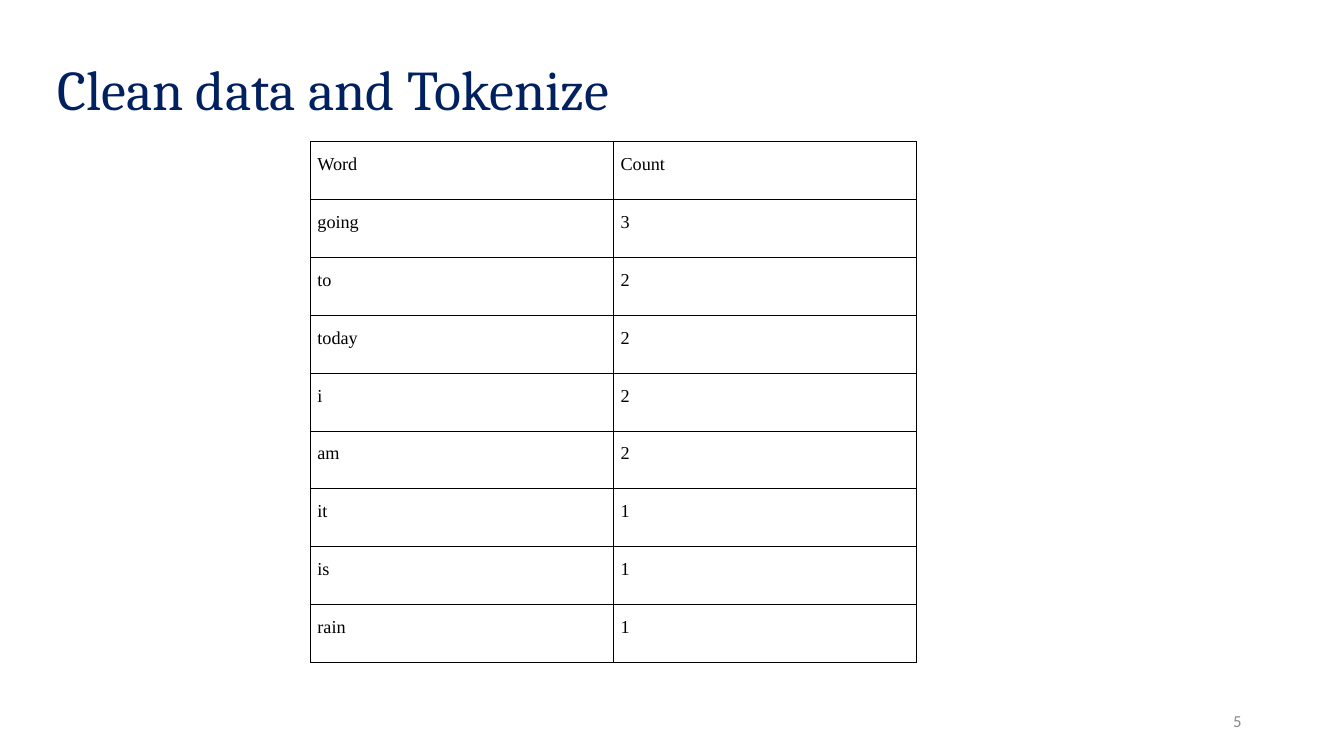
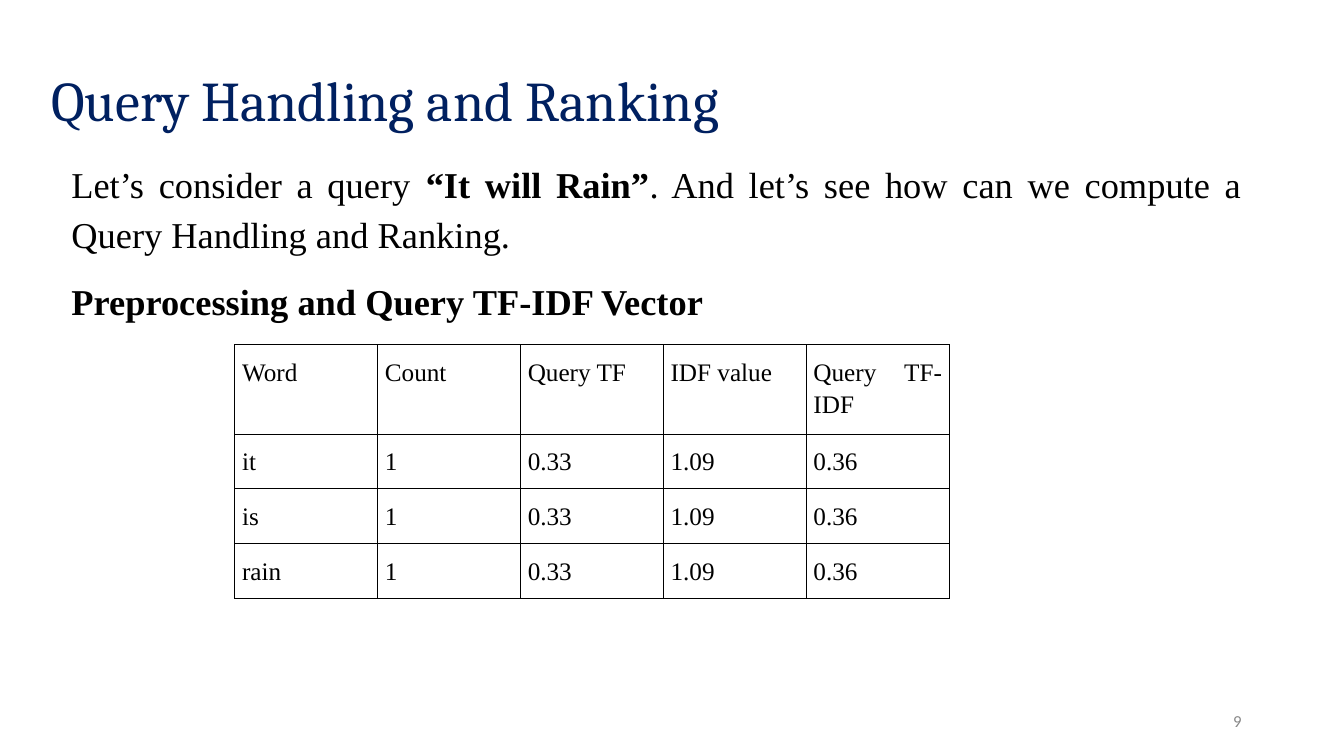
from lxml import etree
from pptx import Presentation
from pptx.dml.color import RGBColor
from pptx.enum import text
from pptx.oxml import parse_xml
from pptx.oxml.ns import nsdecls
from pptx.util import Cm, Pt

COLORS = {"title": "002060", "body": "000000", "number": "888888", "border": "000000"}
BODY_FONT = "Times New Roman"
LEFT, RIGHT, JUSTIFY = text.PP_ALIGN.LEFT, text.PP_ALIGN.RIGHT, text.PP_ALIGN.JUSTIFY


def write(p, txt, size, font=BODY_FONT, color="body", bold=False,
          align=JUSTIFY, spacing=1.15, before=12, after=0):
    """Add a formatted run to a paragraph and set the paragraph's layout."""
    p.alignment, p.line_spacing = align, spacing
    p.space_before, p.space_after = Pt(before), Pt(after)
    r = p.add_run()
    r.text = txt
    r.font.size, r.font.name, r.font.bold = Pt(size), font, bold
    r.font.color.rgb = RGBColor.from_string(COLORS[color])


def set_borders(cell):
    """Draw a thin line on all four sides of a table cell."""
    tcPr = cell._tc.get_or_add_tcPr()
    for side in ("lnL", "lnR", "lnT", "lnB"):
        tcPr.append(parse_xml(
            f'<a:{side} {nsdecls("a")} w="{Pt(0.75)}"><a:solidFill>'
            f'<a:srgbClr val="{COLORS["border"]}"/></a:solidFill></a:{side}>'))


# Content: boxes are left, top, width, height in cm
word_counts = [("Word", "Count"), ("going", "3"), ("to", "2"), ("today", "2"), ("i", "2"),
               ("am", "2"), ("it", "1"), ("is", "1"), ("rain", "1")]
query_scores = [("Word", "Count", "Query TF", "IDF value", "Query TF-IDF")]
query_scores += [(word, "1", "0.33", "1.09", "0.36") for word in ("it", "is", "rain")]

pages = [
    dict(title="Clean data and Tokenize", title_box=(1.19, 0.25, 28.52, 4.14), number="5",
         rows=word_counts, table_at=(7.82, 3.56), col_width=7.64, row_height=1.46, size=13),
    dict(title="Query Handling and Ranking", title_box=(1.04, 0.53, 29.72, 4.14), number="9",
         rows=query_scores, table_at=(5.92, 8.69), col_width=3.6, row_height=0.5, size=18),
]

prs = Presentation()
prs.slide_width, prs.slide_height = Cm(33.87), Cm(19.05)

for page in pages:
    s = prs.slides.add_slide(prs.slide_layouts[5])

    # Title
    sp = s.shapes.title
    sp.left, sp.top, sp.width, sp.height = map(Cm, page["title_box"])
    tf = sp.text_frame
    tf.vertical_anchor, tf.auto_size = text.MSO_ANCHOR.MIDDLE, text.MSO_AUTO_SIZE.NONE
    write(tf.paragraphs[0], page["title"], 40, font="Cambria", color="title",
          align=LEFT, spacing=0.9, before=0)

    # Page number
    tf = s.shapes.add_textbox(Cm(23.92), Cm(17.65), Cm(7.62), Cm(1.01)).text_frame
    tf.word_wrap, tf.vertical_anchor = True, text.MSO_ANCHOR.MIDDLE
    write(tf.paragraphs[0], page["number"], 12, font="Calibri", color="number",
          align=RIGHT, spacing=1.0, before=0)

    # Table
    rows = page["rows"]
    n_rows, n_cols = len(rows), len(rows[0])
    table = s.shapes.add_table(
        n_rows, n_cols, *map(Cm, page["table_at"]),
        Cm(page["col_width"] * n_cols), Cm(page["row_height"] * n_rows)).table
    table.first_row = table.horz_banding = False
    for i, row in enumerate(rows):
        for j, value in enumerate(row):
            cell = table.cell(i, j)
            cell.margin_left = cell.margin_right = Cm(0.18)
            cell.margin_top = cell.margin_bottom = Cm(0.25)
            set_borders(cell)
            cell.fill.background()
            write(cell.text_frame.paragraphs[0], value, page["size"])

# Query introduction on the last slide
tf = s.shapes.add_textbox(Cm(1.55), Cm(3.66), Cm(30), Cm(4.6)).text_frame
tf.word_wrap = True
tf.margin_left = tf.margin_right = tf.margin_top = tf.margin_bottom = Cm(0.25)
p = tf.paragraphs[0]
write(p, "Let’s consider a query ", 26)
write(p, "“It will Rain”", 26, bold=True)
write(p, ". And let’s see how can we compute a Query Handling and Ranking.", 26)
write(tf.add_paragraph(), "Preprocessing and Query TF-IDF Vector", 26, bold=True, after=12)

prs.save("out.pptx")
